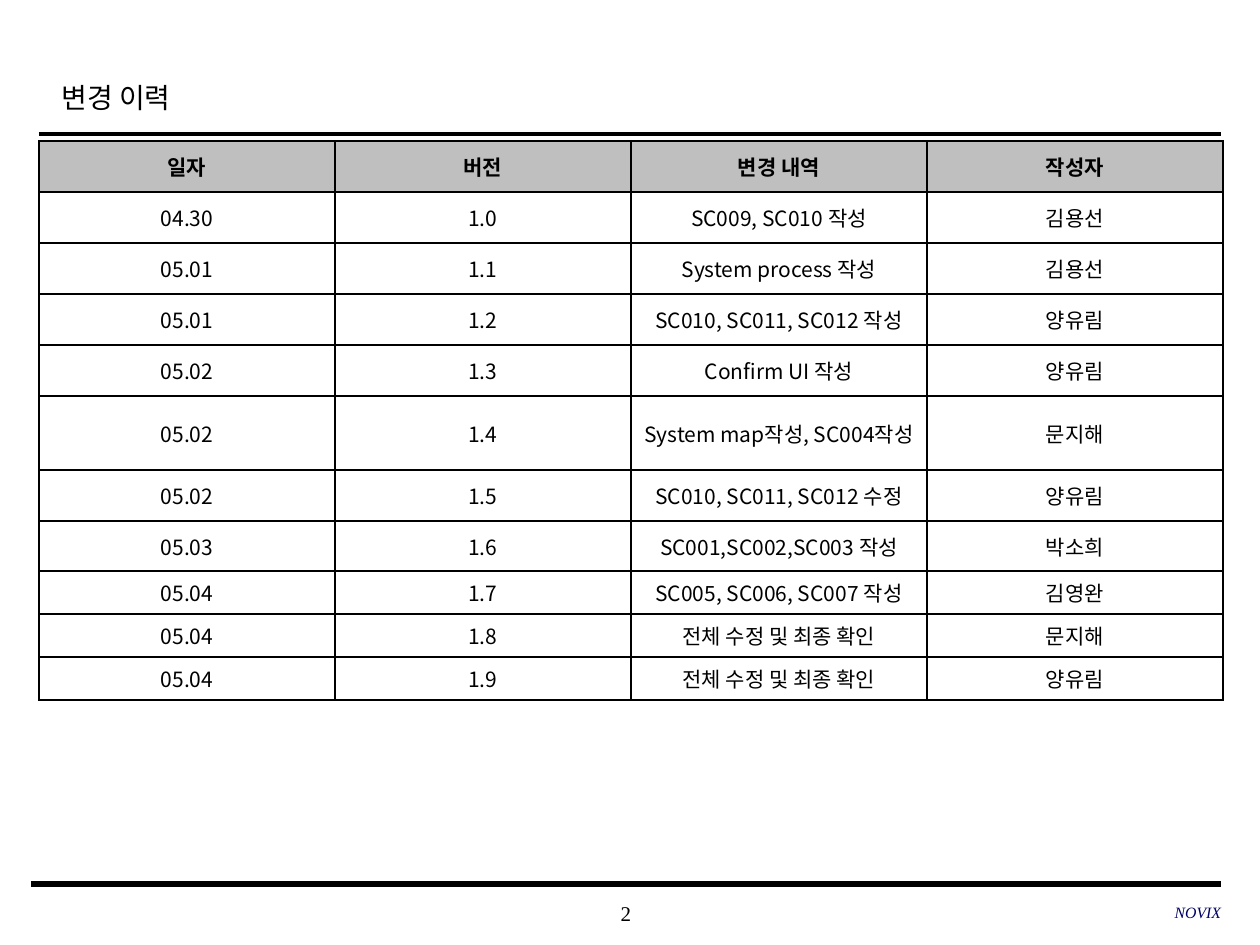
from lxml.etree import SubElement
from pptx import Presentation
from pptx.dml.color import RGBColor
from pptx.enum.shapes import MSO_CONNECTOR
from pptx.enum.text import MSO_ANCHOR, PP_ALIGN
from pptx.oxml import parse_xml
from pptx.oxml.ns import nsdecls, qn
from pptx.util import Emu, Pt

PIXEL = 914400 / 126
BLACK = RGBColor(0x00, 0x00, 0x00)
WHITE = RGBColor(0xFF, 0xFF, 0xFF)
GRAY = RGBColor(0xBF, 0xBF, 0xBF)
NAVY = RGBColor(0x00, 0x00, 0x66)
SERIF = "Times New Roman"
KOREAN = "Noto Sans CJK KR"

HEADER = ("일자", "버전", "변경 내역", "작성자")
CHANGES = [
    ("04.30", "1.0", "SC009, SC010 작성", "김용선"),
    ("05.01", "1.1", "System process 작성", "김용선"),
    ("05.01", "1.2", "SC010, SC011, SC012 작성", "양유림"),
    ("05.02", "1.3", "Confirm UI 작성", "양유림"),
    ("05.02", "1.4", "System map작성, SC004작성", "문지해"),
    ("05.02", "1.5", "SC010, SC011, SC012 수정", "양유림"),
    ("05.03", "1.6", "SC001,SC002,SC003 작성", "박소희"),
    ("05.04", "1.7", "SC005, SC006, SC007 작성", "김영완"),
    ("05.04", "1.8", "전체 수정 및 최종 확인", "문지해"),
    ("05.04", "1.9", "전체 수정 및 최종 확인", "양유림"),
]
ROW_HEIGHTS = [51] * 5 + [74, 51, 50] + [43] * 3


def px(length):
    return Emu(round(length * PIXEL))


def write(frame, text, *, size, font=SERIF, color=BLACK, bold=False,
          italic=False, align=PP_ALIGN.LEFT, line_spacing=None):
    para = frame.paragraphs[0]
    para.alignment = align
    if line_spacing:
        para.line_spacing = line_spacing
    span = para.add_run()
    span.text = text
    span.font.size = Pt(size)
    span.font.name = font
    span.font.bold = bold
    span.font.italic = italic
    span.font.color.rgb = color
    SubElement(span.font._element, qn("a:ea"), typeface=KOREAN)


def place(shape, left, top, width, height):
    shape.left, shape.top = px(left), px(top)
    shape.width, shape.height = px(width), px(height)


def add_title(slide, text):
    title = slide.shapes.title
    place(title, 49, 62, 951, 63)
    title.text_frame.vertical_anchor = MSO_ANCHOR.MIDDLE
    write(title.text_frame, text, size=16, line_spacing=1.2)


def add_rule(slide, left, right, y, weight):
    rule = slide.shapes.add_connector(
        MSO_CONNECTOR.STRAIGHT, px(left), px(y), px(right), px(y))
    rule.line.color.rgb = BLACK
    rule.line.width = Pt(weight)
    SubElement(rule._element.spPr, qn("a:effectLst"))


def add_footer(slide, text, left, top, width, height, **text_format):
    box = slide.shapes.add_textbox(px(left), px(top), px(width), px(height))
    frame = box.text_frame
    frame.word_wrap = True
    frame.vertical_anchor = MSO_ANCHOR.MIDDLE
    frame.margin_left = frame.margin_right = 0
    frame.margin_top = frame.margin_bottom = 0
    write(frame, text, **text_format)


def set_borders(cell, weight=1):
    properties = cell._tc.get_or_add_tcPr()
    for index, side in enumerate(("lnL", "lnR", "lnT", "lnB")):
        properties.insert(index, parse_xml(
            f'<a:{side} {nsdecls("a")} w="{Pt(weight)}"><a:solidFill>'
            f'<a:srgbClr val="{BLACK}"/></a:solidFill></a:{side}>'))


def add_history_table(slide, left, top, column_width):
    rows = [HEADER, *CHANGES]
    table = slide.shapes.add_table(
        len(rows), len(HEADER), px(left), px(top),
        px(column_width * len(HEADER)), px(sum(ROW_HEIGHTS))).table
    for column in table.columns:
        column.width = px(column_width)
    for row_index, (texts, height) in enumerate(zip(rows, ROW_HEIGHTS)):
        is_header = row_index == 0
        table.rows[row_index].height = px(height)
        for column_index, text in enumerate(texts):
            cell = table.cell(row_index, column_index)
            cell.vertical_anchor = MSO_ANCHOR.MIDDLE
            cell.fill.solid()
            cell.fill.fore_color.rgb = GRAY if is_header else WHITE
            set_borders(cell)
            write(cell.text_frame, text, size=12, font=KOREAN,
                  bold=is_header, align=PP_ALIGN.CENTER)


def main():
    deck = Presentation()
    deck.slide_width, deck.slide_height = px(1260), px(945)
    slide = deck.slides.add_slide(deck.slide_layouts[5])

    add_title(slide, "변경 이력")
    add_rule(slide, 39, 1221, 134, 2.5)
    add_rule(slide, 31, 1221, 884, 3)
    add_history_table(slide, 39, 141, 296)
    add_footer(slide, "2", 495, 892, 262, 42, size=12, align=PP_ALIGN.CENTER)
    add_footer(slide, "NOVIX", 835, 891, 386, 42, size=9, color=NAVY,
               italic=True, align=PP_ALIGN.RIGHT)

    deck.save("out.pptx")


if __name__ == "__main__":
    main()
